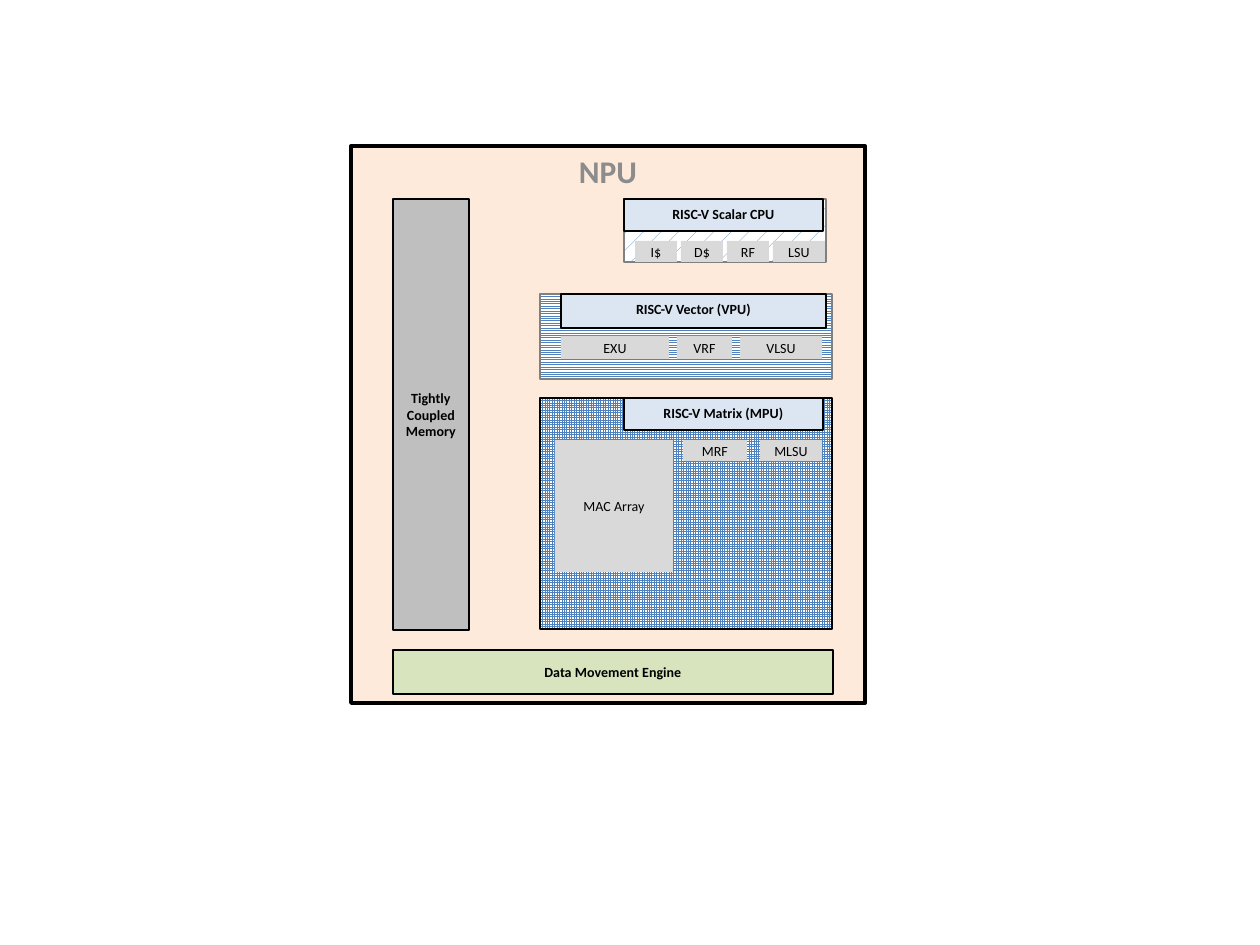
from dataclasses import dataclass
from typing import NamedTuple, Optional

from pptx import Presentation
from pptx.dml.color import RGBColor
from pptx.enum.dml import MSO_PATTERN_TYPE as Pattern
from pptx.enum.shapes import MSO_SHAPE
from pptx.enum.text import MSO_ANCHOR as Anchor, MSO_AUTO_SIZE, PP_ALIGN
from pptx.util import Inches, Pt

EMU_PER_PX = 914400 / 126


@dataclass(frozen=True)
class Theme:
    font: str = "Calibri"
    title_size: int = 18
    label_size: int = 8
    title: str = "8C8C8C"
    text: str = "000000"
    edge: str = "000000"
    soft_edge: str = "808080"
    npu: str = "FDEADA"
    header: str = "DCE6F2"
    cell: str = "D9D9D9"
    memory: str = "BFBFBF"
    engine: str = "D7E4BD"
    hatch: str = "4F81BD"
    hatch_back: str = "FFFFFF"


THEME = Theme()


class Box(NamedTuple):
    x: int
    y: int
    w: int
    h: int


class Cell(NamedTuple):
    label: str
    box: Box


@dataclass(frozen=True)
class Unit:
    """A processing unit: hatched body, header bar and component cells."""
    name: str
    body: Box
    header: Box
    pattern: Pattern
    edge: str
    cells: list[Cell]


def row(x: int, y: int, h: int, gap: int, **widths: int) -> list[Cell]:
    """Lay labelled cells left to right with equal gaps."""
    cells = []
    for label, w in widths.items():
        cells.append(Cell(label, Box(x, y, w, h)))
        x += w + gap
    return cells


UNITS = [
    Unit("RISC-V Scalar CPU", Box(624, 199, 202, 63), Box(624, 199, 199, 32),
         Pattern.PERCENT_5, THEME.soft_edge,
         row(635, 241, 21, 4, **{"I$": 42, "D$": 42, "RF": 42, "LSU": 52})),
    Unit("RISC-V Vector (VPU)", Box(540, 294, 292, 85), Box(561, 294, 265, 34),
         Pattern.LIGHT_HORIZONTAL, THEME.soft_edge,
         row(561, 336, 23, 8, EXU=108, VRF=55, VLSU=82)),
    Unit("RISC-V Matrix (MPU)", Box(540, 398, 292, 231), Box(624, 398, 199, 32),
         Pattern.SMALL_GRID, THEME.edge,
         [Cell("MAC Array", Box(555, 440, 118, 132)),
          *row(683, 440, 21, 13, MRF=64, MLSU=62)]),
]


def px(n: int) -> int:
    return round(n * EMU_PER_PX)


def rgb(color: str) -> RGBColor:
    return RGBColor.from_string(color)


def write(sp, text: str, *, size: int = THEME.label_size, color: str = THEME.text,
          bold: bool = False, anchor: Anchor = Anchor.MIDDLE) -> None:
    tf = sp.text_frame
    tf.word_wrap = True
    tf.auto_size = MSO_AUTO_SIZE.NONE
    tf.vertical_anchor = anchor
    p = tf.paragraphs[0]
    p.alignment = PP_ALIGN.CENTER
    r = p.add_run()
    r.text = text
    r.font.name = THEME.font
    r.font.size = Pt(size)
    r.font.bold = bold
    r.font.color.rgb = rgb(color)


def paint(sp, fill: str, edge: Optional[str] = None, width: float = 0.75) -> None:
    sp.fill.solid()
    sp.fill.fore_color.rgb = rgb(fill)
    outline(sp, edge, width)


def outline(sp, edge: Optional[str], width: float = 0.75) -> None:
    if edge is None:
        sp.line.fill.background()
    else:
        sp.line.color.rgb = rgb(edge)
        sp.line.width = Pt(width)


def add_rect(s, box: Box):
    sp = s.shapes.add_shape(MSO_SHAPE.RECTANGLE, *map(px, box))
    sp.shadow.inherit = False
    return sp


def add_block(s, text: str, box: Box, fill: str, *, edge: Optional[str] = THEME.edge,
              bold: bool = True, anchor: Anchor = Anchor.MIDDLE):
    sp = add_rect(s, box)
    paint(sp, fill, edge)
    write(sp, text, bold=bold, anchor=anchor)
    return sp


def add_unit(s, unit: Unit) -> None:
    body = add_rect(s, unit.body)
    body.fill.patterned()
    body.fill.pattern = unit.pattern
    body.fill.fore_color.rgb = rgb(THEME.hatch)
    body.fill.back_color.rgb = rgb(THEME.hatch_back)
    outline(body, unit.edge)
    for cell in unit.cells:
        sp = add_block(s, cell.label, cell.box, THEME.cell, edge=None, bold=False)
        sp.text_frame.margin_left = sp.text_frame.margin_right = 0
    add_block(s, unit.name, unit.header, THEME.header, anchor=Anchor.TOP)


def add_npu(s, box: Box) -> None:
    """Turn the title placeholder into the titled frame of the chip."""
    sp = s.shapes.title
    sp.left, sp.top, sp.width, sp.height = map(px, box)
    paint(sp, THEME.npu, THEME.edge, 2.25)
    write(sp, "NPU", size=THEME.title_size, color=THEME.title, bold=True,
          anchor=Anchor.TOP)


def main() -> None:
    prs = Presentation()
    prs.slide_width, prs.slide_height = Inches(10), Inches(7.5)
    s = prs.slides.add_slide(prs.slide_layouts[5])
    add_npu(s, Box(351, 146, 514, 557))
    for unit in UNITS:
        add_unit(s, unit)
    add_block(s, "Tightly Coupled Memory", Box(393, 199, 76, 431), THEME.memory)
    add_block(s, "Data Movement Engine", Box(393, 650, 440, 44), THEME.engine)
    prs.save("out.pptx")


if __name__ == "__main__":
    main()
